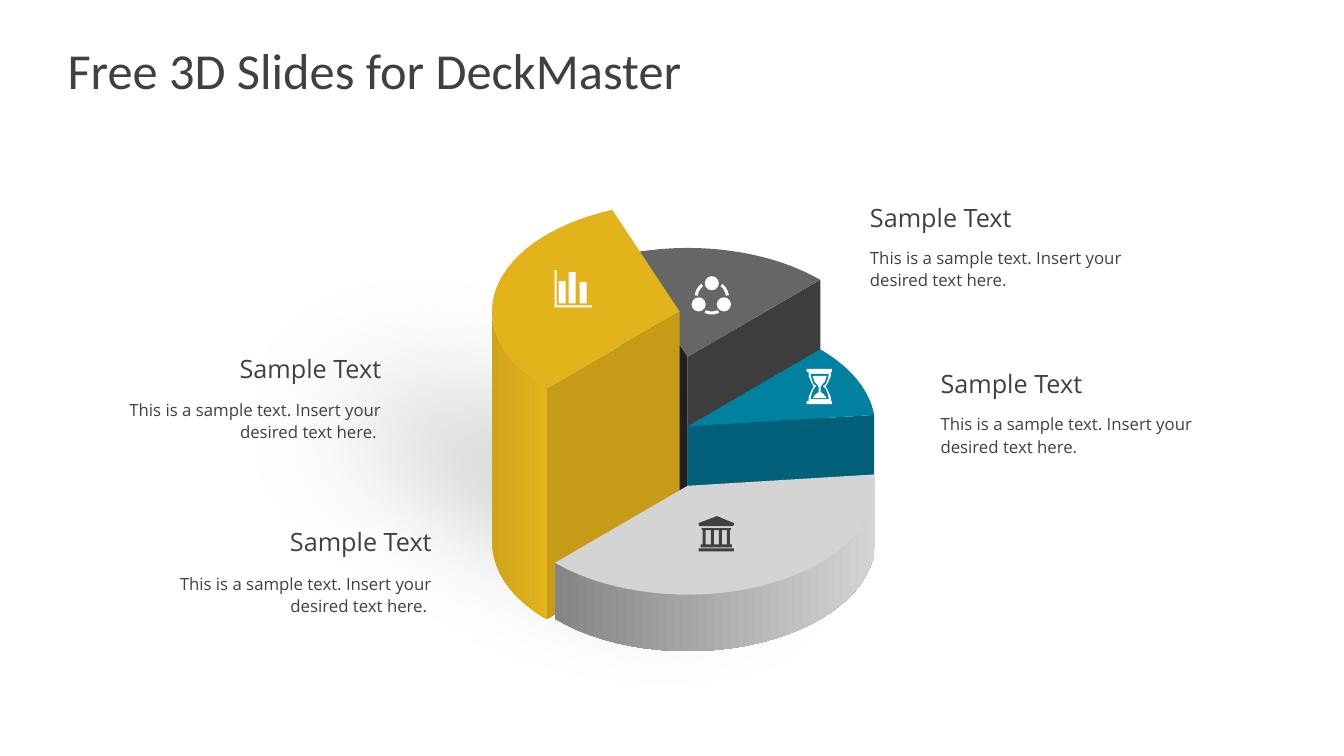
from math import cos, radians, sin

from lxml import etree
from pptx import Presentation
from pptx.dml.color import RGBColor
from pptx.enum.shapes import MSO_SHAPE
from pptx.enum.text import MSO_ANCHOR, PP_ALIGN
from pptx.oxml import parse_xml
from pptx.util import Inches, Pt

RECT, OVAL = MSO_SHAPE.RECTANGLE, MSO_SHAPE.OVAL
LEFT, RIGHT = PP_ALIGN.LEFT, PP_ALIGN.RIGHT
MIDDLE = MSO_ANCHOR.MIDDLE
NS = "http://schemas.openxmlformats.org/drawingml/2006/main"

INK = RGBColor(0x40, 0x40, 0x40)
WHITE = RGBColor(0xFF, 0xFF, 0xFF)
GOLD = RGBColor(0xE2, 0xB3, 0x1B)
GOLD_RIM = RGBColor(0xCF, 0xA4, 0x19)
GOLD_WALL = RGBColor(0xC5, 0x9B, 0x18)
GREY = RGBColor(0x66, 0x66, 0x66)
GREY_WALL = RGBColor(0x3D, 0x3D, 0x3D)
BLACK = RGBColor(0x20, 0x20, 0x20)
TEAL = RGBColor(0x00, 0x81, 0xA0)
TEAL_WALL = RGBColor(0x00, 0x60, 0x7A)
PALE = RGBColor(0xD4, 0xD4, 0xD4)
PALE_RIM = RGBColor(0x85, 0x85, 0x85)

TITLE = "Free 3D Slides for DeckMaster"
HEAD = "Sample Text"
BODY = "This is a sample text. Insert your desired text here."
# left, top of heading, top of body, alignment, body text
NOTES = [
    (1.17, 3.46, 3.90, RIGHT, BODY + " "),
    (1.67, 5.17, 5.62, RIGHT, BODY + " "),
    (8.53, 1.96, 2.39, LEFT, BODY),
    (9.23, 3.60, 4.04, LEFT, BODY),
]

# All slices stand on one floor; angles run clockwise from the right.
RX, RY, FLOOR = 1.86, 1.08, 5.38
# centre x, top y, start, end, top colour, rim colours, {angle: wall colour}
SLICES = [
    (6.82, 3.54, 249, 315, GREY, None, {249: BLACK, 315: GREY_WALL}),
    (6.82, 4.23, 315, 354, TEAL, None, {354: TEAL_WALL}),
    (6.74, 3.09, 135, 249, GOLD, (135, 180, GOLD_RIM, GOLD), {135: GOLD_WALL}),
    (6.82, 4.82, 354, 495, PALE, (0, 135, PALE_RIM, PALE), {}),
]

BARS = [(5.54, 2.79, 0.07, 0.22), (5.64, 2.70, 0.07, 0.31),
        (5.75, 2.80, 0.07, 0.21), (5.50, 2.68, 0.02, 0.36),
        (5.50, 3.03, 0.37, 0.02)]
NODES = [(7.06, 2.81), (6.93, 3.02), (7.18, 3.02)]
LINKS = [(65, 115), (187, 232), (308, 353)]
BANK = [(6.96, 5.24, 0.29, 0.02), (6.95, 5.40, 0.31, 0.03),
        (6.93, 5.44, 0.35, 0.03)]
ROOF = [(7.11, 5.12), (7.28, 5.19), (7.28, 5.21), (7.26, 5.22),
        (6.94, 5.22), (6.93, 5.21), (6.93, 5.19)]
CAPS = [(8.0, 3.66, 0.25, 0.03), (8.0, 3.98, 0.25, 0.03)]
# half widths of the hourglass at each height
GLASS = [
    (WHITE, [(0.11, 3.68), (0.11, 3.73), (0.08, 3.8), (0.06, 3.83),
             (0.08, 3.87), (0.11, 3.94), (0.11, 3.99)]),
    (TEAL, [(0.09, 3.71), (0.08, 3.76), (0.06, 3.81), (0.03, 3.83),
            (0.06, 3.86), (0.08, 3.91), (0.09, 3.96)]),
    (WHITE, [(0.07, 3.73), (0.05, 3.79), (0.02, 3.82), (0.01, 3.84),
             (0.01, 3.89), (0.04, 3.91), (0.07, 3.95)]),
]


def paint(shape, color):
    shape.shadow.inherit = False
    shape.line.fill.background()
    shape.fill.solid()
    shape.fill.fore_color.rgb = color
    return shape


def block(kind, box, color):
    return paint(shapes.add_shape(kind, *map(Inches, box)), color)


def outline(points, color):
    first, *rest = [(Inches(x), Inches(y)) for x, y in points]
    pen = shapes.build_freeform(*first)
    pen.add_line_segments(rest)
    return paint(pen.convert_to_shape(), color)


def arc(x, y, rx, ry, start, end):
    steps = 30
    turns = [radians(start + (end - start) * i / steps)
             for i in range(steps + 1)]
    return [(x + rx * cos(t), y + ry * sin(t)) for t in turns]


def drop(edge, depth):
    """Close an edge into the wall hanging below it."""
    return edge + [(x, y + depth) for x, y in reversed(edge)]


def add_slice(x, y, start, end, color, rim, walls):
    depth = FLOOR - y
    for turn, shade in walls.items():
        tip = arc(x, y, RX, RY, turn, turn)[0]
        outline(drop([(x, y), tip], depth), shade)
    if rim:
        begin, stop, dark, light = rim
        side = outline(drop(arc(x, y, RX, RY, begin, stop), depth), light)
        side.fill.gradient()
        side.fill.gradient_angle = 0
        for mark, shade in zip(side.fill.gradient_stops, (dark, light)):
            mark.color.rgb = shade
    outline([(x, y)] + arc(x, y, RX, RY, start, end), color)


def add_shade():
    """Soft grey shadow that fades towards the upper left."""
    shade = block(OVAL, (1.2, 2.53, 8.21, 4.39), GREY)
    shade.rotation = 17.3
    props = shade.element.spPr
    stops = "".join(
        f'<a:gs pos="{pos}"><a:srgbClr val="808080"><a:alpha val="{alpha}"/>'
        "</a:srgbClr></a:gs>" for pos, alpha in ((29000, 61000), (91000, 0)))
    props.replace(props.find(f"{{{NS}}}solidFill"), parse_xml(
        f'<a:gradFill xmlns:a="{NS}" rotWithShape="1"><a:gsLst>{stops}'
        f'</a:gsLst><a:lin ang="{220 * 60000}" scaled="0"/></a:gradFill>'))
    soft = etree.SubElement(props.find(f"{{{NS}}}effectLst"),
                            f"{{{NS}}}softEdge")
    soft.set("rad", str(Inches(1.25)))


def add_text(box, text, size, align, space=1.0):
    frame = shapes.add_textbox(*map(Inches, box)).text_frame
    frame.word_wrap = True
    para = frame.paragraphs[0]
    para.text = text
    para.alignment = align
    para.line_spacing = space
    style(para.font, "Open Sans", size)


def style(font, name, size):
    font.name, font.size = name, Pt(size)
    font.color.rgb = INK


deck = Presentation()
deck.slide_width, deck.slide_height = Inches(13.33), Inches(7.5)
slide = deck.slides.add_slide(deck.slide_layouts[5])
shapes = slide.shapes

title = shapes.title
title.left, title.top = Inches(0.67), Inches(0.3)
title.width, title.height = Inches(12), Inches(0.78)
frame = title.text_frame
frame.text = TITLE
frame.margin_left = frame.margin_right = 0
frame.vertical_anchor = MIDDLE
frame.paragraphs[0].alignment = LEFT
style(frame.paragraphs[0].font, "Calibri", 36)

add_shade()
for part in SLICES:
    add_slice(*part)

for bar in BARS + CAPS:
    block(RECT, bar, WHITE)
for x, y in NODES:
    block(OVAL, (x - 0.07, y - 0.07, 0.14, 0.14), WHITE)
for start, end in LINKS:
    outer = arc(7.06, 2.95, 0.17, 0.17, start, end)
    inner = arc(7.06, 2.95, 0.14, 0.14, end, start)
    outline(outer + inner, WHITE)
for color, half in GLASS:
    sides = [(8.13 + w, y) for w, y in half]
    outline(sides + [(8.13 - w, y) for w, y in reversed(half)], color)
pillars = [(6.97 + 0.08 * i, 5.25, 0.03, 0.16) for i in range(4)]
for part in BANK + pillars:
    block(RECT, part, INK)
outline(ROOF, INK)

for left, top, low, align, body in NOTES:
    add_text((left, top, 2.71, 0.4), HEAD, 18, align)
    add_text((left, low, 2.71, 0.53), body, 12, align, 1.1)

deck.save("out.pptx")
